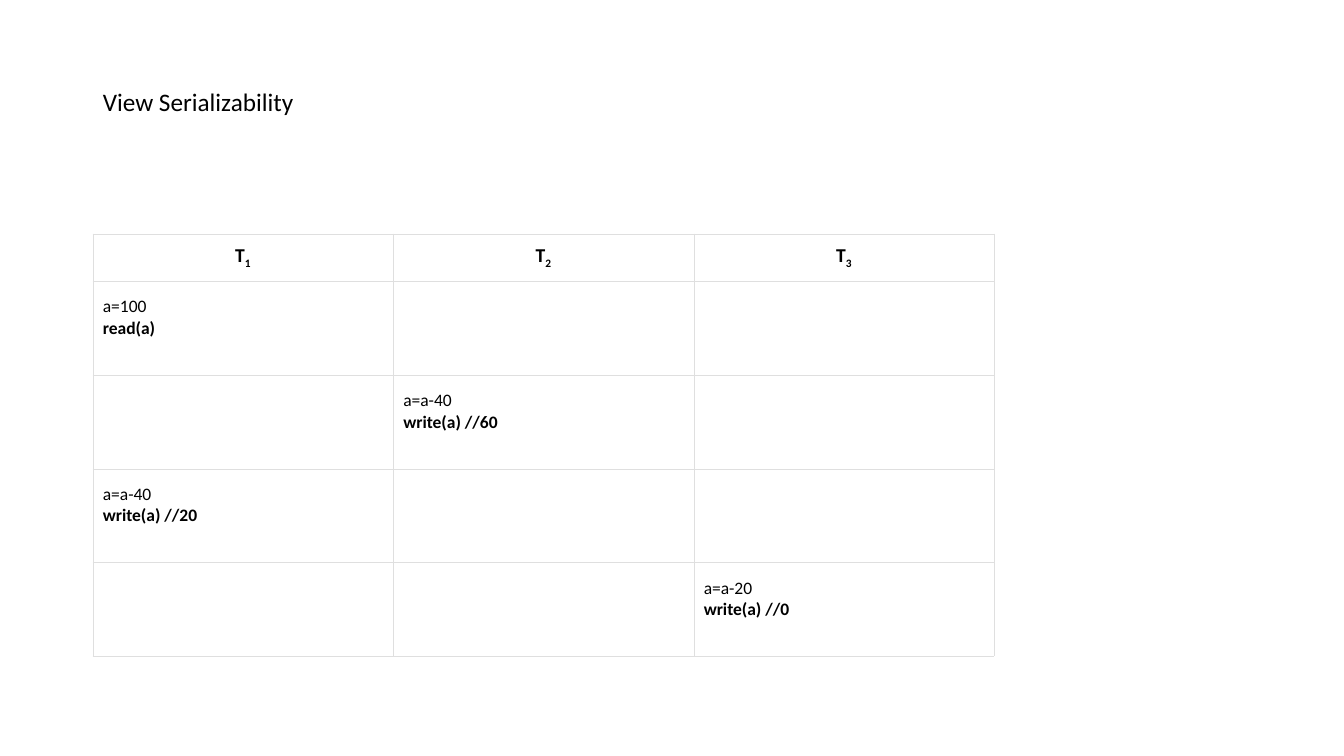
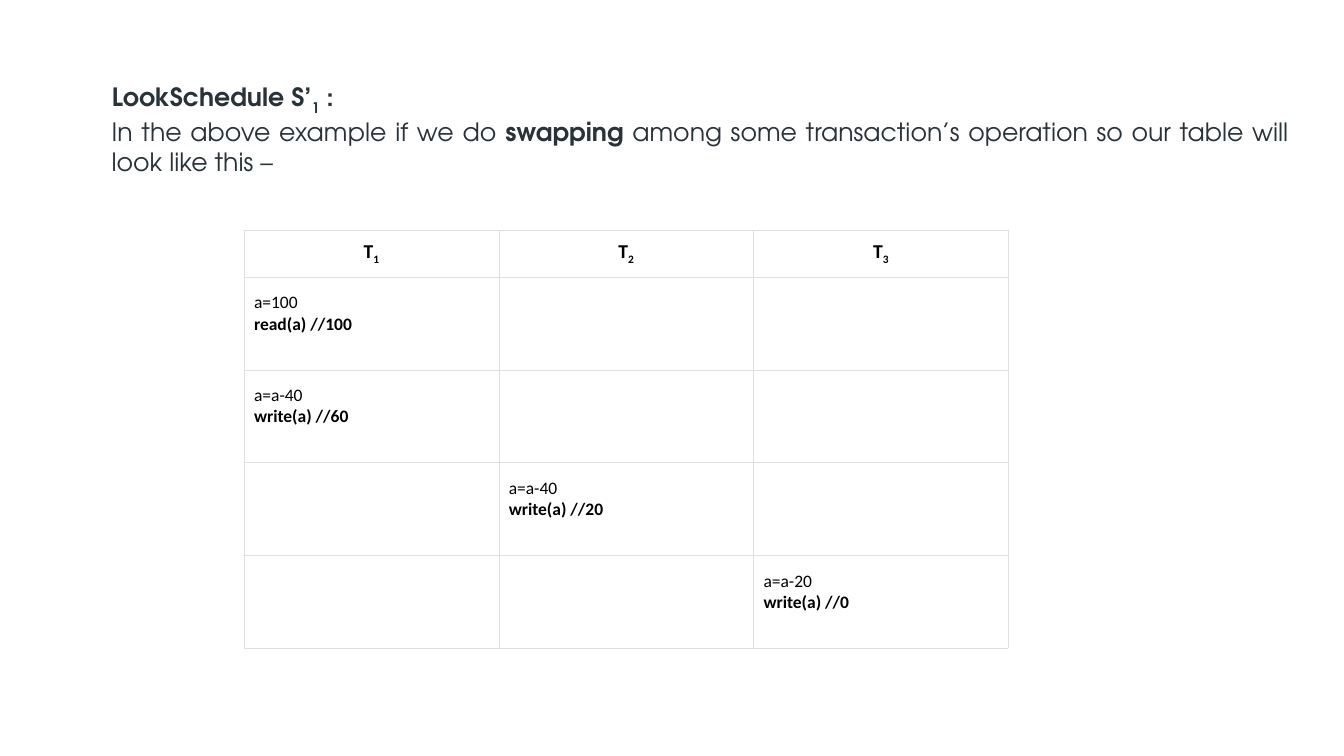
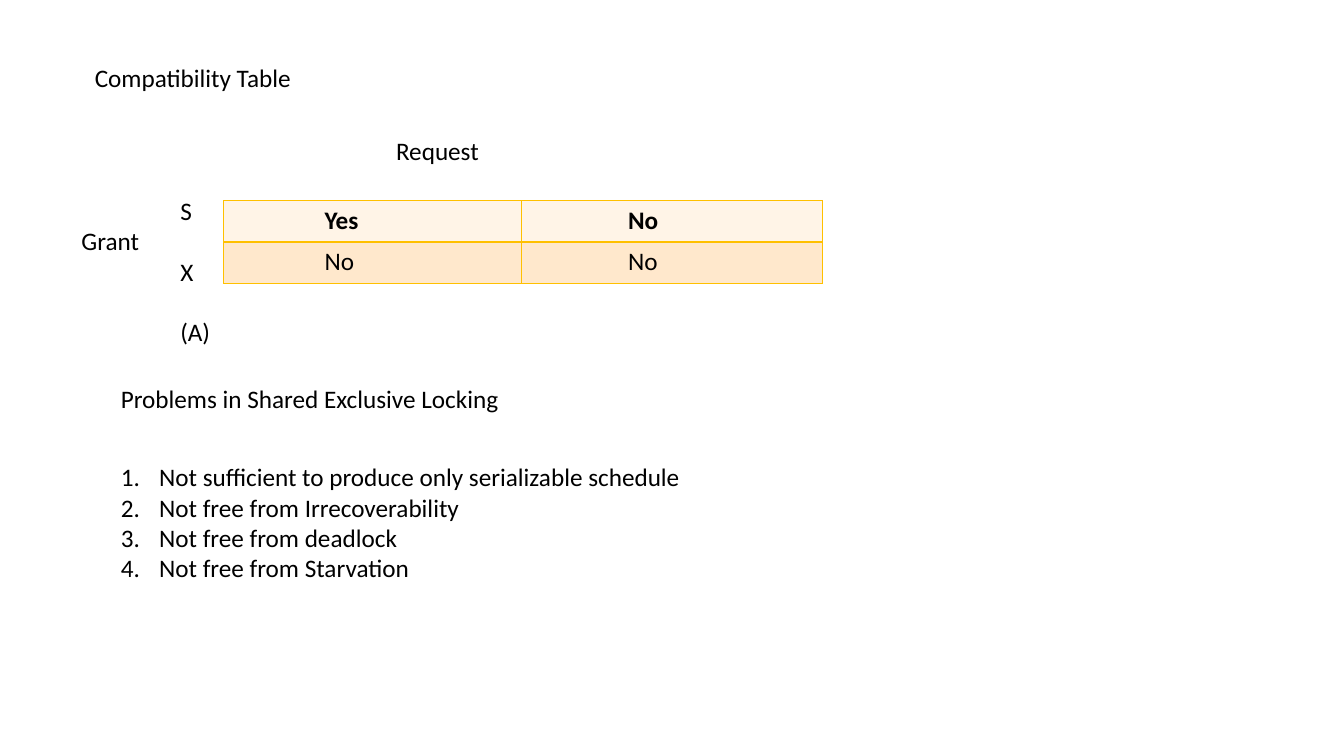
"""Builds three slides on view serializability and lock compatibility."""
from dataclasses import dataclass

from lxml import etree
from pptx import Presentation
from pptx.dml.color import RGBColor
from pptx.enum.text import MSO_ANCHOR, MSO_AUTO_SIZE, PP_ALIGN
from pptx.oxml.ns import qn
from pptx.util import Inches, Pt

LEFT, CENTER, JUSTIFY = PP_ALIGN.LEFT, PP_ALIGN.CENTER, PP_ALIGN.JUSTIFY
TOP, MIDDLE = MSO_ANCHOR.TOP, MSO_ANCHOR.MIDDLE
TITLE_ONLY = 5
BOLD, SUBSCRIPT = "bold", "subscript"


@dataclass(frozen=True)
class Theme:
    """Colours, fonts and type sizes shared by the slides."""
    font: str = "Calibri"
    prose_font: str = "TeX Gyre Adventor"
    text: str = "000000"
    prose: str = "273239"
    paper: str = "FFFFFF"
    rule: str = "DFDFDF"
    gold: str = "FFC000"
    bands: tuple = ("FFF4E7", "FFE8CC")
    body_size: float = 18
    header_size: float = 14
    code_size: float = 12.5
    rule_width: float = 0.23
    gold_width: float = 1
    line_height: float = 21.6


THEME = Theme()
PROSE = {"font": THEME.prose_font, "color": THEME.prose}

TRANSACTIONS = 3
SCHEDULES = [
    {
        "title": ["View Serializability"],
        "title_box": (0.92, 0.81, 2.11, 0.4),
        "title_style": {},
        "table": {"left": 0.92, "top": 2.32, "width": 8.94, "header": 0.47, "row": 0.93},
        "steps": [
            (0, "a=100", "read(a)"),
            (1, "a=a-40", "write(a) //60"),
            (0, "a=a-40", "write(a) //20"),
            (2, "a=a-20", "write(a) //0"),
        ],
    },
    {
        "title": ["LookSchedule S’", ("1", SUBSCRIPT), " :"],
        "title_box": (1.01, 0.76, 11.87, 0.4),
        "title_style": {**PROSE, "bold": True},
        "prose": ["In the above example if we do ", ("swapping", BOLD),
                  " among some transaction’s operation so our table will look like this –"],
        "prose_box": (1.01, 1.1, 11.87, 0.7),
        "table": {"left": 2.42, "top": 2.28, "width": 7.58, "header": 0.47, "row": 0.92},
        "steps": [
            (0, "a=100", "read(a) //100"),
            (0, "a=a-40", "write(a) //60"),
            (1, "a=a-40", "write(a) //20"),
            (2, "a=a-20", "write(a) //0"),
        ],
    },
]

LOCK_TITLE, LOCK_TITLE_BOX = ["Compatibility Table"], (0.84, 0.57, 2.17, 0.4)
LOCK_LABELS = [
    ("Grant", (0.71, 2.19, 0.78, 0.4)),
    ("Request", (3.83, 1.29, 1.03, 0.4)),
    ("Problems in Shared Exclusive Locking", (1.1, 3.75, 3.99, 0.4)),
]
LOCK_MODES, LOCK_MODES_BOX = ["S", "X", "(A)"], (1.69, 1.89, 0.5, 1.62)
LOCK_ANSWERS = [["Yes", "No"], ["No", "No"]]
LOCK_COLUMNS, LOCK_INDENTS = [2.95, 2.99], [1.0, 1.06]
LOCK_ROW, LOCK_CORNER = 0.41, (2.22, 1.99)
PROBLEMS = [
    "Not sufficient to produce only serializable schedule",
    "Not free from Irrecoverability",
    "Not free from deadlock",
    "Not free from Starvation",
]
PROBLEMS_BOX = (1.1, 4.53, 5.81, 1.31)
NUMBER_INDENT = 0.38


def write(paragraph, runs, size=THEME.body_size, font=THEME.font, color=THEME.text,
          bold=False, align=LEFT):
    """Fill a paragraph with plain or (text, emphasis) runs."""
    paragraph.alignment = align
    paragraph.font.name, paragraph.font.size = font, Pt(size)
    paragraph.font.bold = bold
    paragraph.font.color.rgb = RGBColor.from_string(color)
    for part in runs:
        text, emphasis = (part, None) if isinstance(part, str) else part
        run = paragraph.add_run()
        run.text = text
        if emphasis == BOLD:
            run.font.bold = True
        elif emphasis == SUBSCRIPT:
            run._r.get_or_add_rPr().set("baseline", "-25000")


def fill_frame(frame, lines, wrap=False, **style):
    """Write one paragraph per line and return the paragraphs."""
    frame.word_wrap = wrap
    for index, runs in enumerate(lines):
        write(frame.add_paragraph() if index else frame.paragraphs[0], runs, **style)
    return frame.paragraphs


def add_text(slide, box, lines, **style):
    """Add a text box and return its paragraphs."""
    return fill_frame(slide.shapes.add_textbox(*map(Inches, box)).text_frame, lines, **style)


def add_titled_slide(presentation, title, box, **style):
    """Add a slide whose title placeholder is moved and formatted."""
    slide = presentation.slides.add_slide(presentation.slide_layouts[TITLE_ONLY])
    shape = slide.shapes.title
    shape.left, shape.top, shape.width, shape.height = map(Inches, box)
    shape.text_frame.auto_size = MSO_AUTO_SIZE.NONE
    shape.text_frame.vertical_anchor = TOP
    fill_frame(shape.text_frame, [title], **style)
    return slide


def add_grid(slide, left, top, columns, rows):
    """Add a table without banding, sized by its columns and rows."""
    table = slide.shapes.add_table(len(rows), len(columns), *map(
        Inches, (left, top, sum(columns), sum(rows)))).table
    table.first_row = table.horz_banding = False
    for column, width in zip(table.columns, columns):
        column.width = Inches(width)
    for row, height in zip(table.rows, rows):
        row.height = Inches(height)
    return table


def style_cell(cell, fill, border, border_width):
    """Give a cell its four borders and its fill."""
    properties = cell._tc.get_or_add_tcPr()
    for side in ("lnL", "lnR", "lnT", "lnB"):
        line = etree.SubElement(properties, qn(f"a:{side}"), w=str(int(Pt(border_width))))
        solid = etree.SubElement(line, qn("a:solidFill"))
        etree.SubElement(solid, qn("a:srgbClr"), val=border)
    cell.fill.solid()
    cell.fill.fore_color.rgb = RGBColor.from_string(fill)


def add_schedule_slide(presentation, schedule):
    """Add a slide with a table of steps by transaction."""
    slide = add_titled_slide(presentation, schedule["title"], schedule["title_box"],
                             **schedule["title_style"])
    if "prose" in schedule:
        add_text(slide, schedule["prose_box"], [schedule["prose"]], wrap=True,
                 align=JUSTIFY, **PROSE)
    place, steps = schedule["table"], schedule["steps"]
    table = add_grid(slide, place["left"], place["top"],
                     [place["width"] / TRANSACTIONS] * TRANSACTIONS,
                     [place["header"]] + [place["row"]] * len(steps))
    for cell in table.iter_cells():
        style_cell(cell, THEME.paper, THEME.rule, THEME.rule_width)
    for column in range(TRANSACTIONS):
        header = table.cell(0, column)
        header.vertical_anchor = MIDDLE
        write(header.text_frame.paragraphs[0], ["T", (str(column + 1), SUBSCRIPT)],
              size=THEME.header_size, bold=True, align=CENTER)
    for row, (column, assignment, operation) in enumerate(steps, start=1):
        cell = table.cell(row, column)
        cell.margin_top = Inches(0.15)
        fill_frame(cell.text_frame, [[assignment], [(operation, BOLD)]], wrap=True,
                   size=THEME.code_size)


def add_lock_slide(presentation):
    """Add the lock compatibility table and the list of problems."""
    slide = add_titled_slide(presentation, LOCK_TITLE, LOCK_TITLE_BOX)
    table = add_grid(slide, *LOCK_CORNER, LOCK_COLUMNS, [LOCK_ROW] * len(LOCK_ANSWERS))
    for row, answers in enumerate(LOCK_ANSWERS):
        for column, answer in enumerate(answers):
            cell = table.cell(row, column)
            style_cell(cell, THEME.bands[row], THEME.gold, THEME.gold_width)
            cell.margin_left = Inches(LOCK_INDENTS[column])
            write(cell.text_frame.paragraphs[0], [answer], bold=row == 0)
    for label, box in LOCK_LABELS:
        add_text(slide, box, [[label]])
    modes = add_text(slide, LOCK_MODES_BOX, [[mode] for mode in LOCK_MODES])
    for paragraph in modes[1:]:
        paragraph.space_before = Pt(THEME.line_height)
    for paragraph in add_text(slide, PROBLEMS_BOX, [[problem] for problem in PROBLEMS]):
        properties = paragraph._p.get_or_add_pPr()
        properties.set("marL", str(Inches(NUMBER_INDENT)))
        properties.set("indent", str(-Inches(NUMBER_INDENT)))
        numbering = etree.Element(qn("a:buAutoNum"), type="arabicPeriod")
        properties.insert(0, numbering)


def main():
    """Build and save the presentation."""
    presentation = Presentation()
    presentation.slide_width, presentation.slide_height = Inches(13.33), Inches(7.5)
    for schedule in SCHEDULES:
        add_schedule_slide(presentation, schedule)
    add_lock_slide(presentation)
    presentation.save("out.pptx")


if __name__ == "__main__":
    main()
